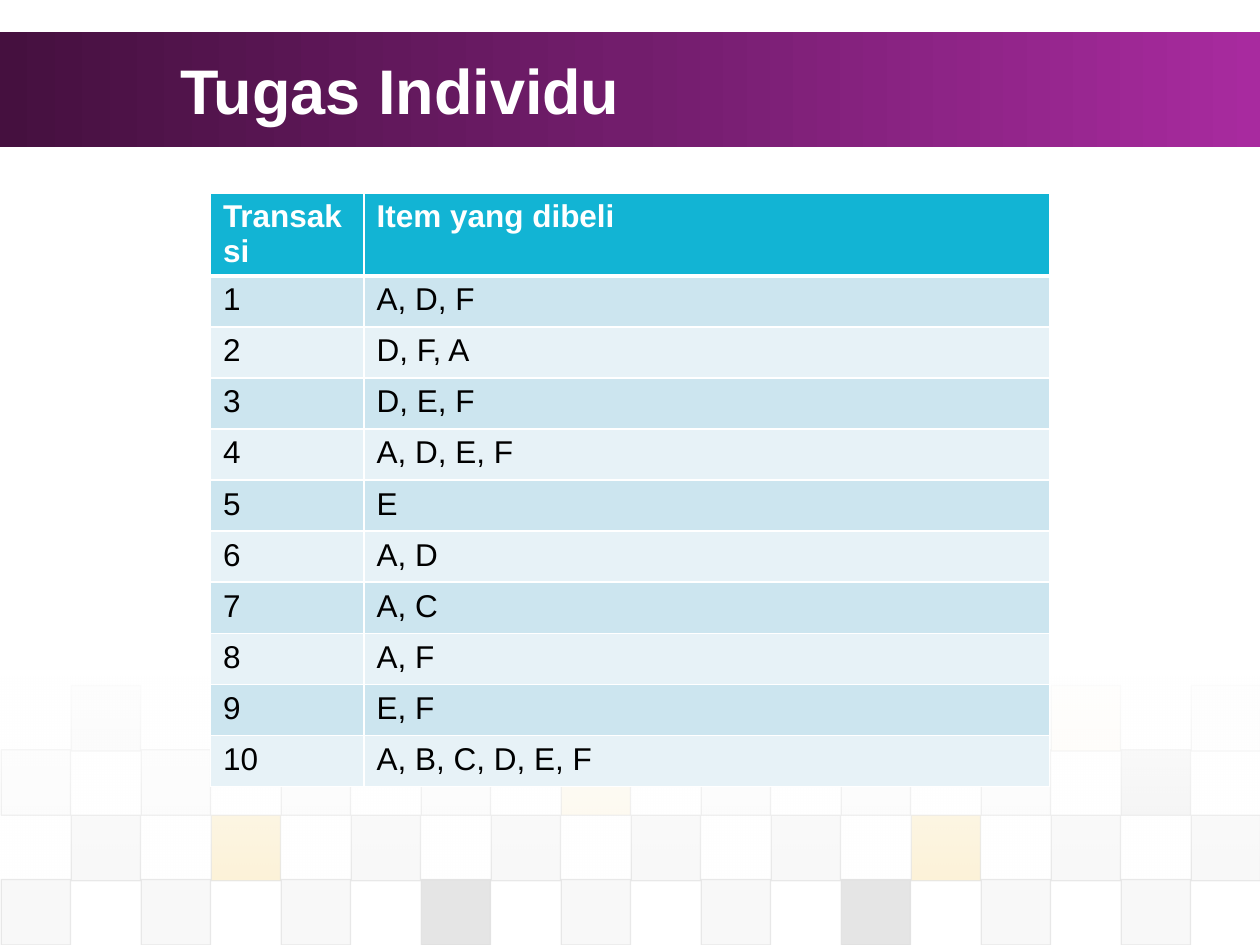
import pptx
import pptx.dml.color
import pptx.enum.shapes
import pptx.enum.text
import pptx.oxml
import pptx.oxml.ns
import pptx.util
from pptx.util import Inches

COLORS = {
    "white": "FFFFFF", "black": "000000",
    "plum": "45103F", "purple": "721D6C", "magenta": "A82A9F",
    "header": "12B4D4", "band": "CCE5EF", "light_band": "E7F2F7",
    "D": "DDDDDD", "E": "EAEAEA", "G": "808080", "Y": "F1C23D",
}
NS = pptx.oxml.ns.nsdecls("a")

# Mosaic rows: top, first grid column, opacity in percent, tile colours
MOSAIC = [
    (5.44, 1, 5, "GEEGDGEYE"),
    (5.95, 0, 10, "DDDDYDDDG"),
    (6.47, 1, 20, "DYDDDDYDD"),
    (6.98, 0, 20, "DDDGDDGDD"),
]
ITEMS = ["A, D, F", "D, F, A", "D, E, F", "A, D, E, F", "E",
         "A, D", "A, C", "A, F", "E, F", "A, B, C, D, E, F"]


def rgb(name):
    return pptx.dml.color.RGBColor.from_string(COLORS[name])


def color_xml(name, alpha=100):
    return (f'<a:srgbClr val="{COLORS[name]}">'
            f'<a:alpha val="{alpha * 1000}"/></a:srgbClr>')


class SlideBuilder:
    font = "Arial"

    def __init__(self, prs):
        self.s = prs.slides.add_slide(prs.slide_layouts[5])

    def format(self, p, **values):
        for key, value in {"name": self.font, **values}.items():
            if key == "color":
                p.font.color.rgb = rgb(value)
            else:
                setattr(p.font, key, value)

    def rect(self, *box):
        sp = self.s.shapes.add_shape(
            pptx.enum.shapes.MSO_SHAPE.RECTANGLE, *map(Inches, box))
        sp.shadow.inherit = False
        return sp

    def gradient(self, box, stops, angle):
        sp = self.rect(*box)
        sp.line.fill.background()
        gs = "".join(f'<a:gs pos="{pos * 1000}">{color_xml(name, alpha)}</a:gs>'
                     for pos, name, alpha in stops)
        fill = pptx.oxml.parse_xml(
            f'<a:gradFill {NS} rotWithShape="1"><a:gsLst>{gs}</a:gsLst>'
            f'<a:lin ang="{angle * 60000}" scaled="0"/></a:gradFill>')
        sp._element.spPr.find(pptx.oxml.ns.qn("a:prstGeom")).addnext(fill)

    def tile(self, left, top, color, alpha):
        sp = self.rect(left, top, 0.55, 0.52)
        sp.line.width = pptx.util.Pt(0.75)
        for fill, name, opacity in ((sp.fill, color, alpha),
                                    (sp.line.fill, "D", 60)):
            fill.solid()
            fill.fore_color.rgb = rgb(name)
            clr = fill._xPr.find(".//" + pptx.oxml.ns.qn("a:srgbClr"))
            clr.append(pptx.oxml.parse_xml(
                f'<a:alpha {NS} val="{opacity * 1000}"/>'))

    def title(self, text, *box):
        sp = self.s.shapes.title
        sp.left, sp.top, sp.width, sp.height = map(Inches, box)
        self.s.shapes._spTree.append(sp._element)  # above the background
        tf = sp.text_frame
        tf.text = text
        tf.auto_size = pptx.enum.text.MSO_AUTO_SIZE.NONE
        tf.vertical_anchor = pptx.enum.text.MSO_ANCHOR.MIDDLE
        p = tf.paragraphs[0]
        p.alignment = pptx.enum.text.PP_ALIGN.LEFT
        self.format(p, size=pptx.util.Pt(36), bold=True, color="white")

    def borders(self, cell, bottom):
        tcPr = cell._tc.get_or_add_tcPr()
        for i, (side, width) in enumerate(
                (("L", 1), ("R", 1), ("T", 1), ("B", bottom))):
            tcPr.insert(i, pptx.oxml.parse_xml(
                f'<a:ln{side} {NS} w="{width * 12700}"><a:solidFill>'
                f'{color_xml("white")}</a:solidFill></a:ln{side}>'))

    def table(self, rows, widths, left, top, height):
        table = self.s.shapes.add_table(
            len(rows), len(widths), Inches(left), Inches(top),
            Inches(sum(widths)), Inches(height)).table
        table.horz_banding = False
        for column, width in zip(table.columns, widths):
            column.width = Inches(width)
        for i, row in enumerate(rows):
            header = i == 0
            fill = "header" if header else ("light_band", "band")[i % 2]
            for j, text in enumerate(row):
                cell = table.cell(i, j)
                cell.text = text
                cell.fill.solid()
                cell.fill.fore_color.rgb = rgb(fill)
                # The rule under the header is shared with the first data row
                self.borders(cell, 3 if header else 1)
                if i == 1:
                    cell._tc.tcPr.find(pptx.oxml.ns.qn("a:lnT")).set("w", "38100")
                self.format(cell.text_frame.paragraphs[0],
                            size=pptx.util.Pt(18), bold=header,
                            color="white" if header else "black")


def main():
    prs = pptx.Presentation()
    prs.slide_width, prs.slide_height = Inches(10), Inches(7.5)
    slide = SlideBuilder(prs)

    # Title band
    slide.gradient((0, 0.25, 10, 0.92),
                   [(0, "plum", 100), (50, "purple", 100),
                    (100, "magenta", 100)], 0)

    # Mosaic: every second cell of an 18-column grid, faded towards the top
    for top, first, alpha, colors in MOSAIC:
        for i, color in enumerate(colors):
            slide.tile(0.01 + (first + 2 * i) * 5 / 9, top, color, alpha)
    slide.gradient((0, 5.37, 10, 1.62),
                   [(0, "white", 90), (100, "white", 0)], 90)

    # Title and table
    slide.title("Tugas Individu", 1.33, 0.25, 8.08, 0.92)
    rows = [("Transaksi", "Item yang dibeli")]
    rows += [(str(n), items) for n, items in enumerate(ITEMS, 1)]
    slide.table(rows, (1.22, 5.44), 1.67, 1.53, 4.46)

    prs.save("out.pptx")


if __name__ == "__main__":
    main()
